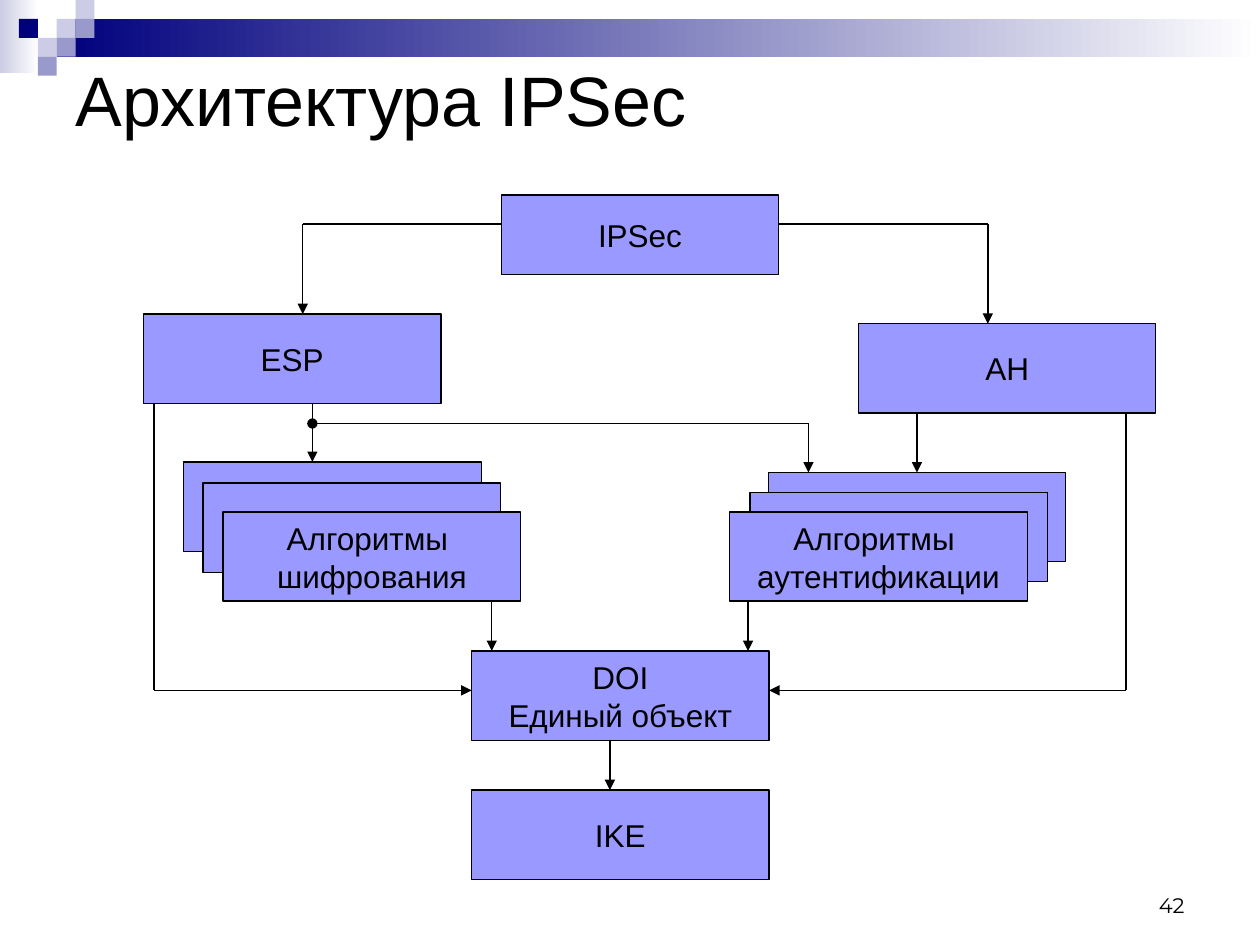
from dataclasses import dataclass

from lxml import etree
from pptx import Presentation
from pptx.dml.color import RGBColor
from pptx.enum.shapes import MSO_CONNECTOR, MSO_SHAPE
from pptx.enum.text import MSO_ANCHOR, PP_ALIGN
from pptx.oxml.ns import qn
from pptx.util import Pt

RECT = MSO_SHAPE.RECTANGLE
STRAIGHT = MSO_CONNECTOR.STRAIGHT
LEFT, CENTER, RIGHT = PP_ALIGN.LEFT, PP_ALIGN.CENTER, PP_ALIGN.RIGHT
MIDDLE, BOTTOM = MSO_ANCHOR.MIDDLE, MSO_ANCHOR.BOTTOM


@dataclass(frozen=True)
class Theme:
    ink: RGBColor = RGBColor(0, 0, 0)
    white: RGBColor = RGBColor(255, 255, 255)
    box: RGBColor = RGBColor(0x99, 0x99, 0xFF)
    navy: RGBColor = RGBColor(0, 0, 0x7D)
    pale: RGBColor = RGBColor(0xCC, 0xCC, 0xE6)
    mid: RGBColor = RGBColor(0x99, 0x99, 0xCC)
    font: str = "Arial"
    page_font: str = "Montserrat"
    title: int = 40
    body: int = 18
    page: int = 12
    line: float = 0.75


THEME = Theme()
BOX_W, BOX_H = 170, 51
CELL = 10.8

# label, left, top
BOXES = [
    ("ESP", 82, 179.5),
    ("AH", 490.5, 185),
    ("", 105, 264),
    ("", 439, 270),
    ("", 116, 276),
    ("", 428.5, 281.5),
    ("Алгоритмы \nаутентификации", 417, 292.5),
    ("Алгоритмы \nшифрования", 127.5, 292.5),
    ("IKE", 269.5, 451.5),
    ("DOI\nЕдиный объект", 269.5, 372),
]

# x1, y1, x2, y2
ARROWS = [
    (178.5, 230.5, 178.5, 264),
    (281, 343.5, 281, 372),
    (427.5, 343.5, 427.5, 372),
    (88, 394.5, 269.5, 394.5),
    (643.5, 394.5, 439.5, 394.5),
    (462, 242, 462, 270),
    (173, 128, 173, 179.5),
    (564.5, 128, 564.5, 185),
    (348.5, 423, 348.5, 451.5),
    (524, 236, 524, 270),
]
LINES = [
    (88, 230.5, 88, 394.5),
    (643.5, 236, 643.5, 394.5),
    (286.5, 128, 173, 128),
    (445, 128, 564.5, 128),
]


def write(frame, text, size, font, align, anchor):
    frame.text = text
    frame.vertical_anchor = anchor
    for para in frame.paragraphs:
        para.alignment = align
        para.font.size = Pt(size)
        para.font.name = font
        para.font.color.rgb = THEME.ink


def add_rect(slide, left, top, width, height, fill):
    """Draw an unlined rectangle; a pair of colours gives a gradient."""
    rect = slide.shapes.add_shape(RECT, Pt(left), Pt(top), Pt(width), Pt(height))
    rect.shadow.inherit = False
    rect.line.fill.background()
    if isinstance(fill, RGBColor):
        rect.fill.solid()
        rect.fill.fore_color.rgb = fill
    else:
        rect.fill.gradient()
        rect.fill.gradient_angle = 0
        for stop, color in zip(rect.fill.gradient_stops, fill):
            stop.color.rgb = color
    return rect


def add_box(slide, text, left, top, width=BOX_W, height=BOX_H):
    box = add_rect(slide, left, top, width, height, THEME.box)
    box.line.color.rgb = THEME.ink
    box.line.width = Pt(THEME.line)
    if text:
        box.text_frame.word_wrap = False
        write(box.text_frame, text, THEME.body, THEME.font, CENTER, MIDDLE)


def add_line(slide, x1, y1, x2, y2, head=None, tail=None):
    line = slide.shapes.add_connector(STRAIGHT, Pt(x1), Pt(y1), Pt(x2), Pt(y2))
    line.line.color.rgb = THEME.ink
    line.line.width = Pt(THEME.line)
    props = line.line._get_or_add_ln()
    for tag, kind in (("a:headEnd", head), ("a:tailEnd", tail)):
        if kind:
            etree.SubElement(props, qn(tag), type=kind)
    etree.SubElement(line._element.spPr, qn("a:effectLst"))


def add_banner(slide):
    add_rect(slide, 0, 0, 22, 42, (THEME.pale, THEME.white))
    add_rect(slide, 3 * CELL, CELL, 720 - 3 * CELL, 2 * CELL,
             (THEME.navy, THEME.white))
    cells = [(3, 1, THEME.pale), (4, 0, THEME.pale), (4, 1, THEME.mid),
             (2, 2, THEME.pale), (1, 1, THEME.navy), (3, 2, THEME.mid),
             (2, 3, THEME.mid)]
    for col, row, color in cells:
        add_rect(slide, col * CELL, row * CELL, CELL, CELL, color)


def set_title(slide, text):
    title = slide.shapes.title
    title.left, title.top = Pt(36), Pt(36)
    title.width, title.height = Pt(648), Pt(41)
    write(title.text_frame, text, THEME.title, THEME.font, LEFT, MIDDLE)


def add_page(slide, text):
    box = slide.shapes.add_textbox(Pt(638), Pt(492), Pt(46), Pt(36))
    box.text_frame.word_wrap = True
    write(box.text_frame, text, THEME.page, THEME.page_font, RIGHT, BOTTOM)


def main():
    deck = Presentation()
    deck.slide_width, deck.slide_height = Pt(720), Pt(540)
    slide = deck.slides.add_slide(deck.slide_layouts[5])
    add_banner(slide)
    set_title(slide, "Архитектура IPSec")
    add_box(slide, "IPSec", 286.5, 111.5, 158.5, 45.5)
    for box in BOXES:
        add_box(slide, *box)
    for ends in ARROWS:
        add_line(slide, *ends, tail="triangle")
    for ends in LINES:
        add_line(slide, *ends)
    add_line(slide, 178.5, 242, 462, 242, head="oval")
    add_page(slide, "42")
    deck.save("out.pptx")


if __name__ == "__main__":
    main()
